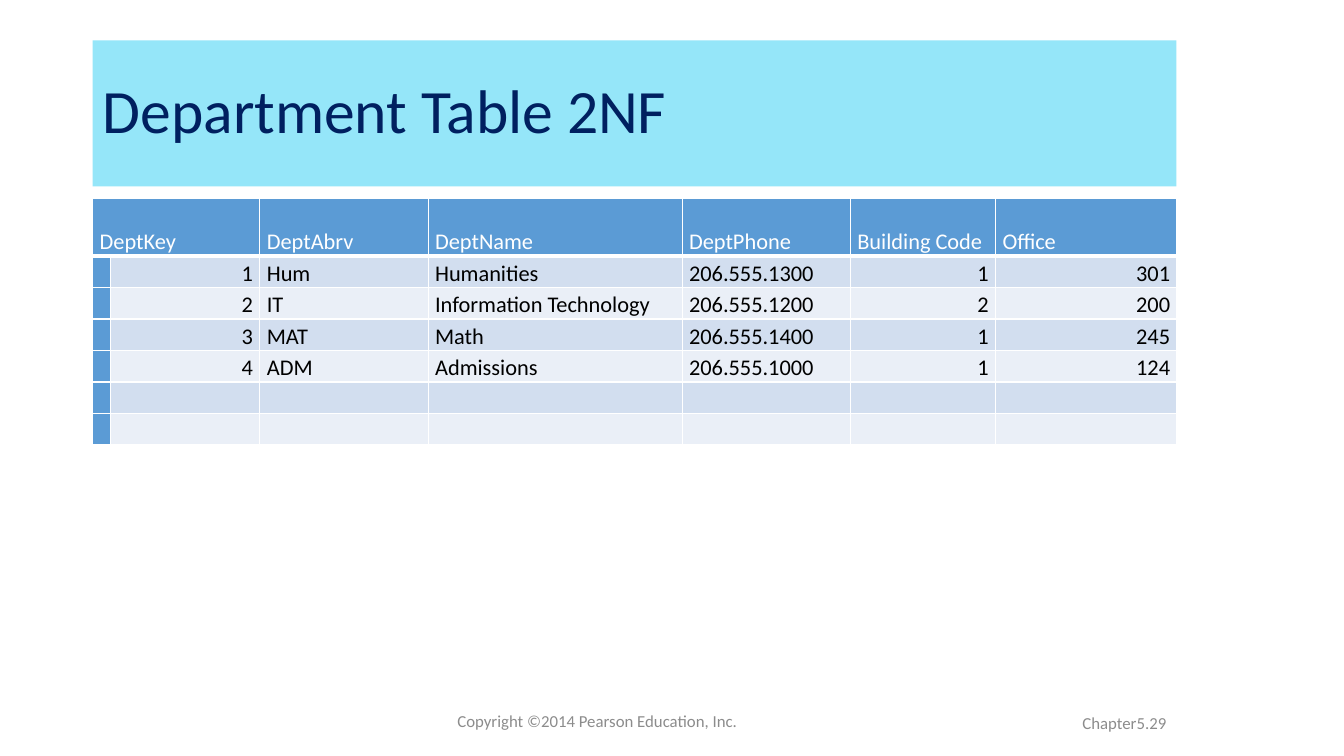
from dataclasses import dataclass

from lxml import etree
from pptx import Presentation
from pptx.dml.color import RGBColor
from pptx.enum import text
from pptx.oxml import ns
from pptx.util import Pt

COLORS = {
    "banner": "95E6F9",
    "title": "002060",
    "accent": "5B9BD5",
    "dark_band": "D2DEEF",
    "light_band": "EAEFF7",
    "white": "FFFFFF",
    "black": "000000",
    "footer": "8C8C8C",
}
FONT = "Calibri"
LEFT, WIDTH = 66.24, 774
COLUMN_WIDTHS = [12.2, 106.6, 120.2, 181.4, 120.2, 103.7, 129.7]
HEADER_HEIGHT, ROW_HEIGHT = 41, 22.5
NUMERIC_COLUMNS = {1, 5, 6}
ROWS = [
    ["DeptKey", "", "DeptAbrv", "DeptName", "DeptPhone", "Building Code", "Office"],
    ["", "1", "Hum", "Humanities", "206.555.1300", "1", "301"],
    ["", "2", "IT", "Information Technology", "206.555.1200", "2", "200"],
    ["", "3", "MAT", "Math", "206.555.1400", "1", "245"],
    ["", "4", "ADM", "Admissions", "206.555.1000", "1", "124"],
    [""] * 7,
    [""] * 7,
]


@dataclass
class FooterText:
    wording: str
    left: float
    top: float
    width: float
    alignment: text.PP_ALIGN


FOOTERS = [
    FooterText("Copyright ©2014 Pearson Education, Inc. ", 249.84, 500.4, 356.4, text.PP_ALIGN.CENTER),
    FooterText("Chapter5.29", 659.52, 501.84, 180.72, text.PP_ALIGN.RIGHT),
]


def rgb(name: str) -> RGBColor:
    return RGBColor.from_string(COLORS[name])


def format_runs(paragraph, size: float, color: str) -> None:
    for run in paragraph.runs:
        run.font.name = FONT
        run.font.size = Pt(size)
        run.font.bold = False
        run.font.color.rgb = rgb(color)


def add_borders(cell, is_header: bool) -> None:
    properties = cell._tc.get_or_add_tcPr()
    for index, side in enumerate(["L", "R", "T", "B"]):
        thick = is_header and side == "B"
        line = etree.Element(ns.qn(f"a:ln{side}"), w=str(Pt(3 if thick else 1)))
        fill = etree.SubElement(line, ns.qn("a:solidFill"))
        etree.SubElement(fill, ns.qn("a:srgbClr"), val=COLORS["white"])
        properties.insert(index, line)


def fill_cell(cell, wording: str, row: int, column: int) -> None:
    is_header = row == 0
    band = "dark_band" if row % 2 else "light_band"
    cell.fill.solid()
    cell.fill.fore_color.rgb = rgb("accent" if is_header or column == 0 else band)
    cell.vertical_anchor = text.MSO_ANCHOR.BOTTOM
    cell.margin_left = cell.margin_right = Pt(5)
    cell.margin_top = cell.margin_bottom = 0
    add_borders(cell, is_header)
    paragraph = cell.text_frame.paragraphs[0]
    if not wording:
        etree.SubElement(paragraph._p, ns.qn("a:endParaRPr"), sz="1200")
        return
    paragraph.text = wording
    paragraph.line_spacing = 1.15
    if not is_header and column in NUMERIC_COLUMNS:
        paragraph.alignment = text.PP_ALIGN.RIGHT
    format_runs(paragraph, 16, "white" if is_header else "black")


def add_title(slide) -> None:
    title = slide.shapes.title
    title.left, title.top, title.width, title.height = Pt(LEFT), Pt(28.8), Pt(WIDTH), Pt(104.4)
    title.fill.solid()
    title.fill.fore_color.rgb = rgb("banner")
    title.text_frame.text = "Department Table 2NF"
    title.text_frame.word_wrap = True
    title.text_frame.auto_size = text.MSO_AUTO_SIZE.NONE
    title.text_frame.vertical_anchor = text.MSO_ANCHOR.MIDDLE
    paragraph = title.text_frame.paragraphs[0]
    paragraph.alignment = text.PP_ALIGN.LEFT
    paragraph.line_spacing = 0.9
    format_runs(paragraph, 44, "title")


def add_department_table(slide) -> None:
    height = HEADER_HEIGHT + ROW_HEIGHT * (len(ROWS) - 1)
    table = slide.shapes.add_table(
        len(ROWS), len(COLUMN_WIDTHS), Pt(LEFT), Pt(141.84), Pt(WIDTH), Pt(height)
    ).table
    for column, width in zip(table.columns, COLUMN_WIDTHS):
        column.width = Pt(width)
    for index, wordings in enumerate(ROWS):
        table.rows[index].height = Pt(ROW_HEIGHT if index else HEADER_HEIGHT)
        for column, wording in enumerate(wordings):
            fill_cell(table.cell(index, column), wording, index, column)
    table.cell(0, 0).merge(table.cell(0, 1))


def add_footer(slide, footer: FooterText) -> None:
    shape = slide.shapes.add_textbox(Pt(footer.left), Pt(footer.top), Pt(footer.width), Pt(28.8))
    shape.text_frame.word_wrap = True
    shape.text_frame.vertical_anchor = text.MSO_ANCHOR.MIDDLE
    shape.text_frame.text = footer.wording
    paragraph = shape.text_frame.paragraphs[0]
    paragraph.alignment = footer.alignment
    format_runs(paragraph, 12, "footer")


def main() -> None:
    presentation = Presentation()
    presentation.slide_width, presentation.slide_height = Pt(960), Pt(540)
    slide = presentation.slides.add_slide(presentation.slide_layouts[5])
    add_title(slide)
    add_department_table(slide)
    for footer in FOOTERS:
        add_footer(slide, footer)
    presentation.save("out.pptx")


if __name__ == "__main__":
    main()
